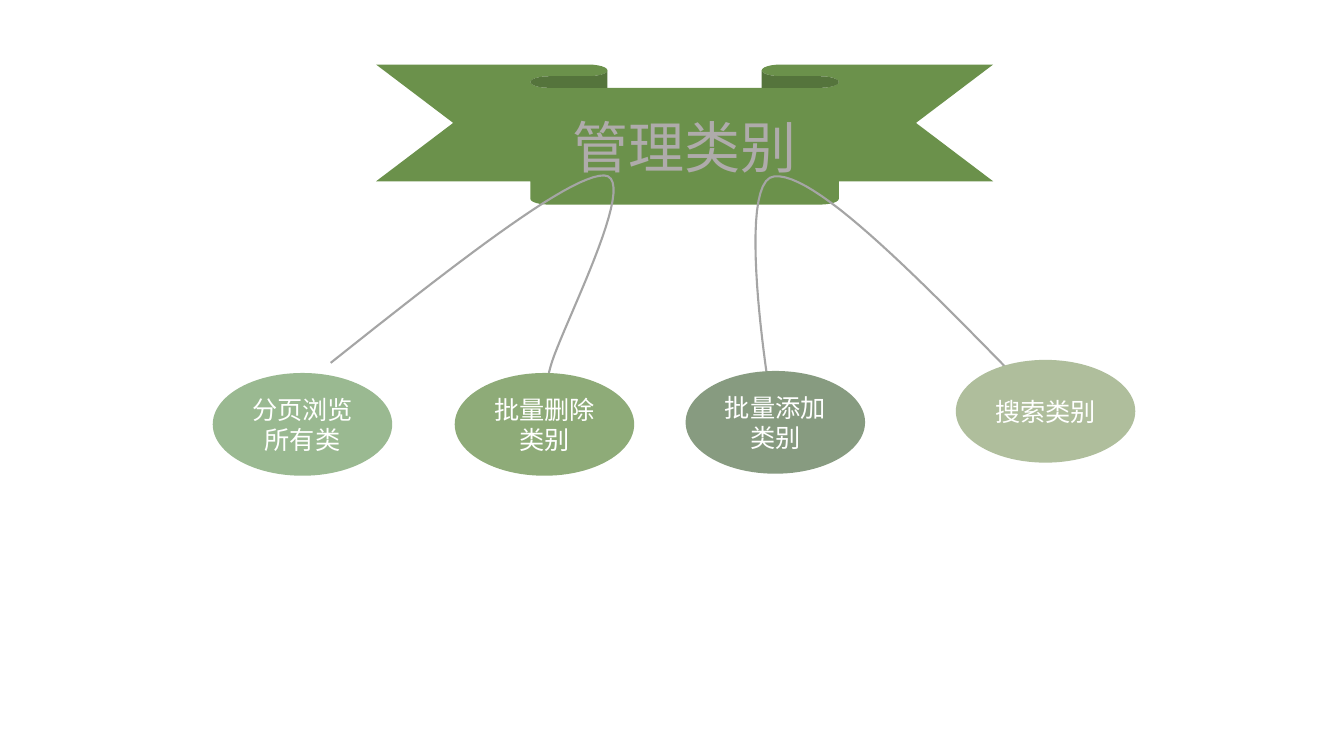
from pptx import Presentation
from pptx.dml.color import RGBColor
from pptx.enum.shapes import MSO_SHAPE
from pptx.enum.text import MSO_ANCHOR, PP_ALIGN
from pptx.util import Inches, Pt

COLORS = {
    "banner": "6B914B", "title": "AFABAB", "branch": "A5A5A5", "label": "FFFFFF",
    "browse": "9AB991", "delete": "8EAB78", "add": "879B80", "search": "AFBE9C",
}
TITLE = "管理类别"
TASKS = [
    ("分页浏览所有类", "browse", 2.11, 3.7),
    ("批量删除类别", "delete", 4.51, 3.7),
    ("批量添加类别", "add", 6.8, 3.68),
    ("搜索类别", "search", 9.48, 3.57),
]
TASK_SIZE = (1.78, 1.02)
BRANCHES = [
    [(3.28, 3.6), (4.45, 2.67), (5.63, 1.74), (5.99, 1.74),
     (6.36, 1.75), (5.55, 3.29), (5.46, 3.64),
     (5.37, 3.98), (5.41, 3.88), (5.45, 3.79)],
    [(9.99, 3.66), (9.03, 2.68), (8.07, 1.71), (7.68, 1.75),
     (7.29, 1.78), (7.63, 3.88), (7.63, 3.88)],
]
CURVE_STEPS = 24


def color(name):
    return RGBColor.from_string(COLORS[name])


def add_label_shape(page, kind, box, fill, text, size, font, text_color):
    shape = page.shapes.add_shape(kind, *map(Inches, box))
    shape.shadow.inherit = False
    shape.fill.solid()
    shape.fill.fore_color.rgb = color(fill)
    shape.line.fill.background()
    frame = shape.text_frame
    frame.text = text
    frame.word_wrap = True
    frame.vertical_anchor = MSO_ANCHOR.MIDDLE
    para = frame.paragraphs[0]
    para.alignment = PP_ALIGN.CENTER
    span = para.runs[0]
    span.font.size = Pt(size)
    span.font.name = font
    span.font.color.rgb = color(text_color)


def bezier_point(controls, t):
    weights = ((1 - t) ** 3, 3 * t * (1 - t) ** 2, 3 * t ** 2 * (1 - t), t ** 3)
    return tuple(Inches(sum(w * c for w, c in zip(weights, axis))) for axis in zip(*controls))


def add_branch(page, controls):
    points = [
        bezier_point(controls[first:first + 4], step / CURVE_STEPS)
        for first in range(0, len(controls) - 1, 3)
        for step in range(1, CURVE_STEPS + 1)
    ]
    builder = page.shapes.build_freeform(*map(Inches, controls[0]))
    builder.add_line_segments(points, close=False)
    branch = builder.convert_to_shape()
    branch.shadow.inherit = False
    branch.fill.background()
    branch.line.color.rgb = color("branch")
    branch.line.width = Pt(1.5)


deck = Presentation()
deck.slide_width, deck.slide_height = Inches(13.33), Inches(7.5)
page = deck.slides.add_slide(deck.slide_layouts[6])

add_label_shape(page, MSO_SHAPE.DOWN_RIBBON, (3.73, 0.64, 6.12, 1.39),
                "banner", TITLE, 40, "Noto Sans CJK SC", "title")
for controls in BRANCHES:
    add_branch(page, controls)
for text, fill, left, top in TASKS:
    add_label_shape(page, MSO_SHAPE.OVAL, (left, top, *TASK_SIZE),
                    fill, text, 18, "Calibri", "label")

deck.save("out.pptx")
